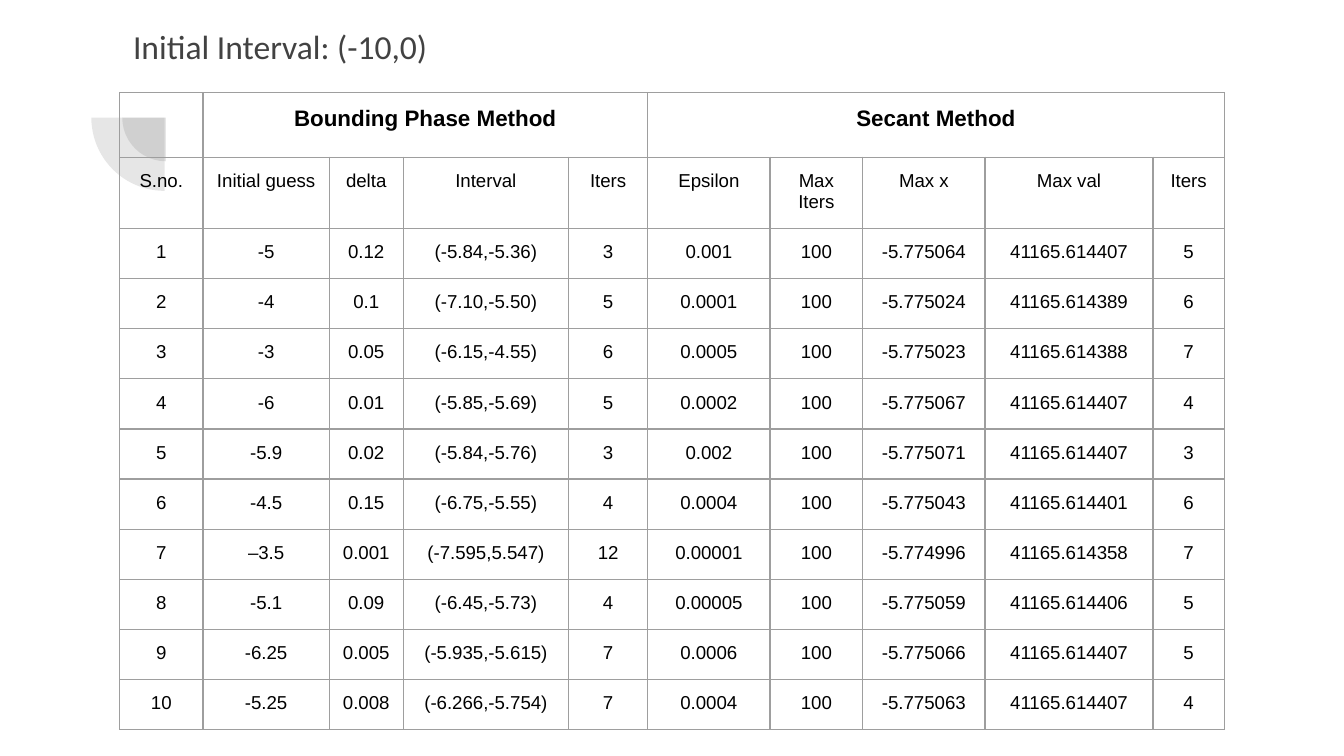
from lxml import etree
from pptx import Presentation
from pptx import util as u
from pptx.dml.color import RGBColor
from pptx.enum import shapes, text
from pptx.oxml import ns

GRAY = RGBColor(0x42, 0x42, 0x42)
BLACK = RGBColor(0, 0, 0)
EDGE = RGBColor(0x9E, 0x9E, 0x9E)

TITLE = "Initial Interval: (-10,0)"
BANDS = [("Bounding Phase Method", 1, 4), ("Secant Method", 5, 9)]
HEADS = ["S.no.", "Initial guess", "delta", "Interval", "Iters",
         "Epsilon", "Max\nIters", "Max x", "Max val", "Iters"]
TRIALS = [
    ("-5", "0.12", "(-5.84,-5.36)", "3", "0.001", "100", "-5.775064", "41165.614407", "5"),
    ("-4", "0.1", "(-7.10,-5.50)", "5", "0.0001", "100", "-5.775024", "41165.614389", "6"),
    ("-3", "0.05", "(-6.15,-4.55)", "6", "0.0005", "100", "-5.775023", "41165.614388", "7"),
    ("-6", "0.01", "(-5.85,-5.69)", "5", "0.0002", "100", "-5.775067", "41165.614407", "4"),
    ("-5.9", "0.02", "(-5.84,-5.76)", "3", "0.002", "100", "-5.775071", "41165.614407", "3"),
    ("-4.5", "0.15", "(-6.75,-5.55)", "4", "0.0004", "100", "-5.775043", "41165.614401", "6"),
    ("–3.5", "0.001", "(-7.595,5.547)", "12", "0.00001", "100", "-5.774996", "41165.614358", "7"),
    ("-5.1", "0.09", "(-6.45,-5.73)", "4", "0.00005", "100", "-5.775059", "41165.614406", "5"),
    ("-6.25", "0.005", "(-5.935,-5.615)", "7", "0.0006", "100", "-5.775066", "41165.614407", "5"),
    ("-5.25", "0.008", "(-6.266,-5.754)", "7", "0.0004", "100", "-5.775063", "41165.614407", "4"),
]
WIDTHS = [0.62, 0.94, 0.55, 1.23, 0.59, 0.91, 0.69, 0.91, 1.25, 0.53]
TALLS = [0.48, 0.53]
LEFT, TOP, HIGH = 0.89, 0.69, 4.74
PIES = [(0.91, 0.55, 0.65), (0.68, 0.33, 1.09)]


def pad(box):
    box.margin_left = box.margin_right = u.Inches(0.1)
    box.margin_top = box.margin_bottom = u.Inches(0.1)


def put(par, words, face, size, color, bold=False):
    run = par.add_run()
    run.text = words
    run.font.name = face
    run.font.size = u.Pt(size)
    run.font.color.rgb = color
    run.font.bold = bold


def write(cell, words, size, bold=False):
    pad(cell)
    frame = cell.text_frame
    for num, line in enumerate(words.split("\n")):
        par = frame.add_paragraph() if num else frame.paragraphs[0]
        par.alignment = text.PP_ALIGN.CENTER
        put(par, line, "Arial", size, BLACK, bold)


def edge(cell):
    props = cell._tc.get_or_add_tcPr()
    for spot, tag in enumerate(["a:lnL", "a:lnR", "a:lnT", "a:lnB"]):
        line = etree.Element(ns.qn(tag), w=str(u.Pt(0.75)))
        fill = etree.SubElement(line, ns.qn("a:solidFill"))
        etree.SubElement(fill, ns.qn("a:srgbClr"), val=str(EDGE))
        props.insert(spot, line)


def add_pies(slide):
    group = slide.shapes.add_group_shape()
    for x, y, side in PIES:
        pie = group.shapes.add_shape(
            shapes.MSO_SHAPE.PIE, u.Inches(x), u.Inches(y), u.Inches(side), u.Inches(side))
        pie.adjustments[0], pie.adjustments[1] = 108, 162
        pie.rotation = 270
        pie.shadow.inherit = False
        pie.fill.solid()
        pie.fill.fore_color.rgb = GRAY
        tint = pie._element.spPr.find(".//" + ns.qn("a:srgbClr"))
        etree.SubElement(tint, ns.qn("a:alpha"), val="13000")
        pie.line.fill.background()


def add_title(slide):
    title = slide.shapes.title
    title.left, title.top = u.Inches(LEFT), u.Inches(0.09)
    title.width, title.height = u.Inches(7.69), u.Inches(0.51)
    frame = title.text_frame
    pad(frame)
    frame.vertical_anchor = text.MSO_ANCHOR.TOP
    par = frame.paragraphs[0]
    par.alignment = text.PP_ALIGN.LEFT
    put(par, TITLE, "Calibri", 18, GRAY)


def add_grid(slide):
    rows = [HEADS] + [(str(num),) + row for num, row in enumerate(TRIALS, 1)]
    talls = TALLS + [(HIGH - sum(TALLS)) / len(TRIALS)] * len(TRIALS)
    grid = slide.shapes.add_table(
        len(talls), len(WIDTHS), u.Inches(LEFT), u.Inches(TOP),
        u.Inches(sum(WIDTHS)), u.Inches(HIGH)).table
    grid.first_row = grid.horz_banding = False
    for col, wide in zip(grid.columns, WIDTHS):
        col.width = u.Inches(wide)
    for row, tall in zip(grid.rows, talls):
        row.height = u.Inches(tall)
    for cell in grid.iter_cells():
        cell.fill.background()
        edge(cell)
    for words, first, last in BANDS:
        grid.cell(0, first).merge(grid.cell(0, last))
        write(grid.cell(0, first), words, 12, True)
    for r, row in enumerate(rows, 1):
        for c, words in enumerate(row):
            write(grid.cell(r, c), words, 10)


def main():
    deck = Presentation()
    deck.slide_width = u.Inches(10)
    deck.slide_height = deck.slide_width * 9 // 16
    slide = deck.slides.add_slide(deck.slide_layouts[5])
    add_pies(slide)
    add_title(slide)
    add_grid(slide)
    deck.save("out.pptx")


if __name__ == "__main__":
    main()
